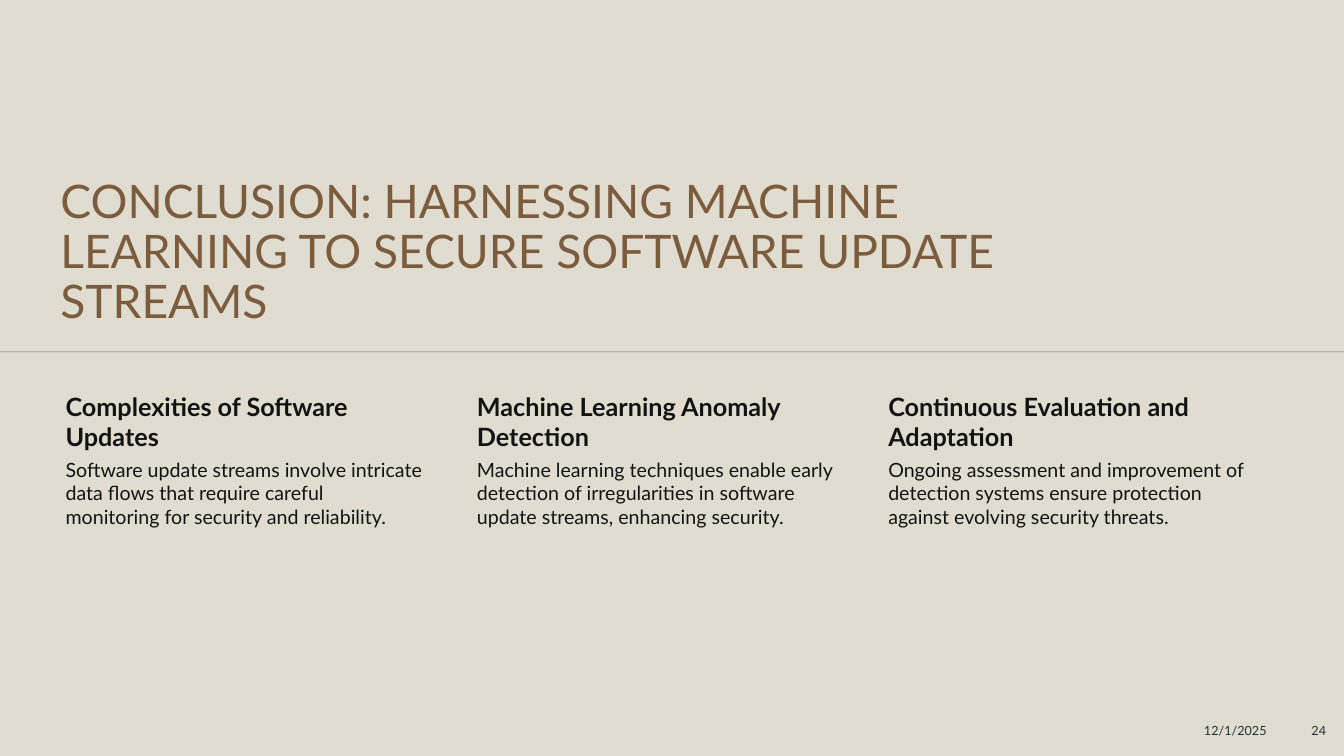
from lxml.etree import SubElement
from pptx import Presentation
from pptx.dml.color import RGBColor
from pptx.enum.shapes import MSO_CONNECTOR, MSO_SHAPE
from pptx.enum.text import MSO_ANCHOR, PP_ALIGN
from pptx.oxml.ns import qn
from pptx.util import Inches, Pt

WIDTH, HEIGHT = 13.33, 7.5
MARGIN = 0.5
COLUMN_STEP, COLUMN_WIDTH = 4.08, 3.71
HEADING_HEIGHT = 0.66
COLORS = {
    "background": "F3F2ED",
    "panel": "E0DDD0",
    "title": "7C5C3E",
    "body": "131313",
    "footer": "1D3433",
    "rule": "4E4E4E",
}
TITLE = "CONCLUSION: HARNESSING MACHINE LEARNING TO SECURE SOFTWARE UPDATE STREAMS"
TAKEAWAYS = [
    ("Complexities of Software Updates",
     "Software update streams involve intricate data flows that require careful "
     "monitoring for security and reliability."),
    ("Machine Learning Anomaly Detection",
     "Machine learning techniques enable early detection of irregularities in "
     "software update streams, enhancing security."),
    ("Continuous Evaluation and Adaptation",
     "Ongoing assessment and improvement of detection systems ensure protection "
     "against evolving security threats."),
]


def paint(fill, color):
    fill.solid()
    fill.fore_color.rgb = RGBColor.from_string(COLORS[color])


def add_text(slide, text, box, size, color, bold=False, align=PP_ALIGN.LEFT,
             anchor=MSO_ANCHOR.TOP, insets=(0.1, 0.05, 0.1, 0.05), spacing=1.0):
    """Place text in box (left, top, width, height), with insets in inches."""
    frame = slide.shapes.add_textbox(*map(Inches, box)).text_frame
    frame.word_wrap = True
    frame.vertical_anchor = anchor
    (frame.margin_left, frame.margin_top,
     frame.margin_right, frame.margin_bottom) = map(Inches, insets)
    paragraph = frame.paragraphs[0]
    paragraph.alignment = align
    paragraph.line_spacing = spacing
    run = paragraph.add_run()
    run.text = text
    run.font.name = "Lato"
    run.font.size = Pt(size)
    run.font.bold = bold
    run.font.color.rgb = RGBColor.from_string(COLORS[color])


def add_panel(slide):
    """Cover the whole slide with the darker tone."""
    panel = slide.shapes.add_shape(
        MSO_SHAPE.RECTANGLE, 0, 0, Inches(WIDTH), Inches(HEIGHT))
    panel.shadow.inherit = False
    paint(panel.fill, "panel")
    panel.line.fill.background()


def add_rule(slide, top):
    """Draw a faint line across the whole slide."""
    rule = slide.shapes.add_connector(
        MSO_CONNECTOR.STRAIGHT, Inches(WIDTH), Inches(top), 0, Inches(top))
    rule.line.width = Pt(1)
    rule.line.color.rgb = RGBColor.from_string(COLORS["rule"])
    properties = rule._element.spPr
    color = properties.find(".//" + qn("a:srgbClr"))
    SubElement(color, qn("a:alpha"), val="30000")
    SubElement(properties, qn("a:effectLst"))


def add_takeaway(slide, heading, detail, box):
    left, top, width, height = box
    add_text(slide, heading, (left, top, width, HEADING_HEIGHT), 18, "body",
             bold=True, insets=(0.15, 0.02, 0.03, 0.03))
    add_text(slide, detail,
             (left, top + HEADING_HEIGHT, width, height - HEADING_HEIGHT),
             14, "body", insets=(0.15, 0.02, 0.02, 0.02))


def add_takeaways(slide, left, top, height):
    for column, (heading, detail) in enumerate(TAKEAWAYS):
        add_takeaway(slide, heading, detail,
                     (left + column * COLUMN_STEP, top, COLUMN_WIDTH, height))


def add_footer(slide, top, height):
    number_width = 0.5
    date_width = 2.01
    number_left = WIDTH - number_width
    date_left = number_left - 0.17 - date_width
    add_text(slide, "12/1/2025", (date_left, top, date_width, height), 9, "footer",
             align=PP_ALIGN.RIGHT, anchor=MSO_ANCHOR.MIDDLE)
    add_text(slide, "24", (number_left, top, number_width, height), 9, "footer",
             align=PP_ALIGN.CENTER, anchor=MSO_ANCHOR.MIDDLE)


def build_conclusion(presentation):
    slide = presentation.slides.add_slide(presentation.slide_layouts[6])
    paint(slide.background.fill, "background")
    add_panel(slide)
    add_rule(slide, 3.49)
    add_text(slide, TITLE, (MARGIN, 0.8, 9.68, 2.51), 33, "title",
             anchor=MSO_ANCHOR.BOTTOM, spacing=0.9)
    add_takeaways(slide, MARGIN, 3.86, 2.51)
    add_footer(slide, HEIGHT - 0.45, 0.4)


def main():
    presentation = Presentation()
    presentation.slide_width = Inches(WIDTH)
    presentation.slide_height = Inches(HEIGHT)
    build_conclusion(presentation)
    presentation.save("out.pptx")


if __name__ == "__main__":
    main()
